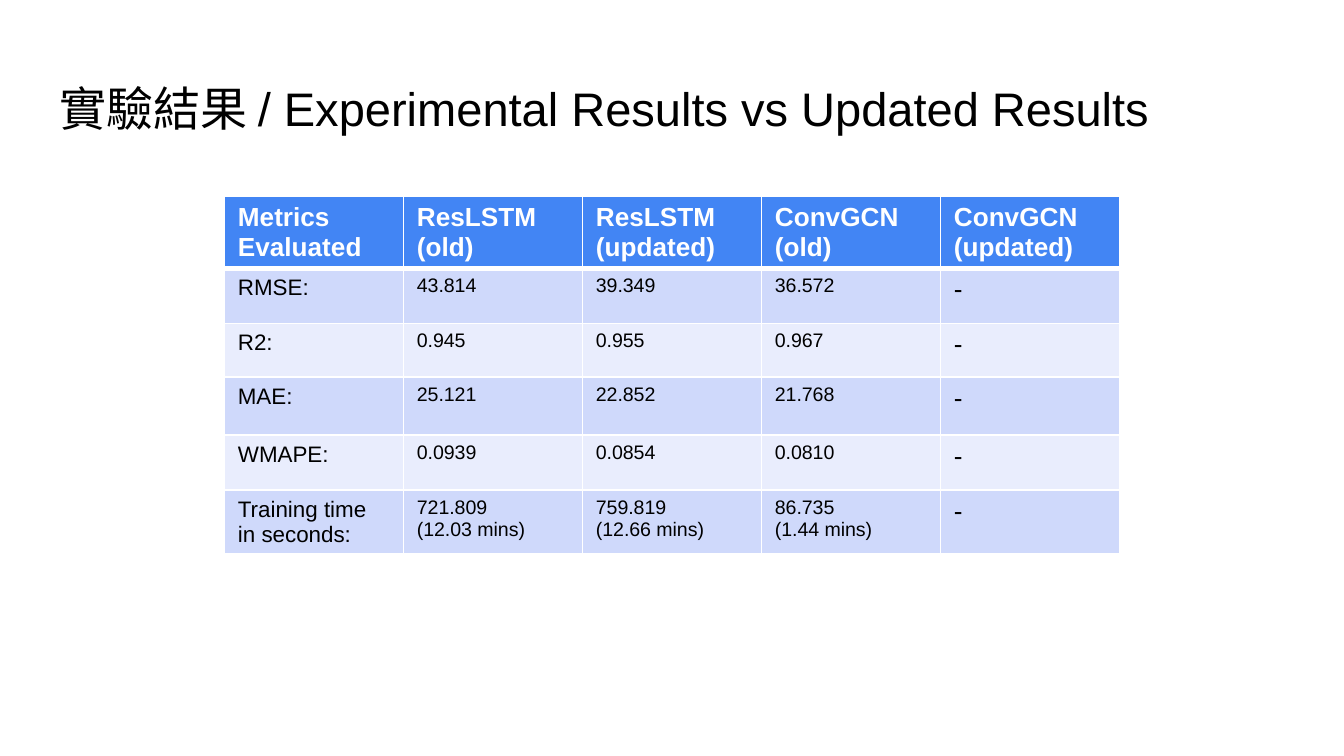
from pptx import Presentation
from pptx.dml.color import RGBColor
from pptx.enum.text import MSO_ANCHOR, MSO_AUTO_SIZE, PP_ALIGN
from pptx.oxml import parse_xml
from pptx.oxml.ns import nsdecls
from pptx.util import Inches, Pt

FONT = "Arial"
BLACK = RGBColor(0x00, 0x00, 0x00)
WHITE = RGBColor(0xFF, 0xFF, 0xFF)
HEADER_BLUE = RGBColor(0x42, 0x85, 0xF4)
BAND_DARK = RGBColor(0xCF, 0xD9, 0xFB)
BAND_LIGHT = RGBColor(0xE9, 0xED, 0xFD)

TITLE = "實驗結果 / Experimental Results vs Updated Results"
ROWS = [
    ["Metrics Evaluated", "ResLSTM (old)", "ResLSTM (updated)",
     "ConvGCN\n(old)", "ConvGCN\n(updated)"],
    ["RMSE:", "43.814", "39.349", "36.572", "-"],
    ["R2:", "0.945", "0.955", "0.967", "-"],
    ["MAE:", "25.121", "22.852", "21.768", "-"],
    ["WMAPE:", "0.0939", "0.0854", "0.0810", "-"],
    ["Training time in seconds:", "721.809\n(12.03 mins)",
     "759.819\n(12.66 mins)", "86.735\n(1.44 mins)", "-"],
]
ROW_HEIGHTS = [0.52, 0.41, 0.4, 0.43, 0.41, 0.47]
TABLE_WIDTH = 6.66
COLUMN_SIZES = [12, 10.5, 10.5, 10.5, 14]


def format_text(tf, size, color, bold=False):
    for p in tf.paragraphs:
        p.alignment = PP_ALIGN.LEFT
        for r in p.runs:
            r.font.name = FONT
            r.font.size = Pt(size)
            r.font.bold = bold
            r.font.color.rgb = color


def add_title(s):
    sp = s.shapes.title
    sp.left, sp.top = Inches(0.34), Inches(0.49)
    sp.width, sp.height = Inches(9.32), Inches(0.63)
    tf = sp.text_frame
    tf.text = TITLE
    tf.word_wrap = True
    tf.auto_size = MSO_AUTO_SIZE.NONE
    tf.vertical_anchor = MSO_ANCHOR.MIDDLE
    tf.margin_left = tf.margin_right = Inches(0.1)
    tf.margin_top = tf.margin_bottom = Inches(0.1)
    format_text(tf, 25.2, BLACK)


def set_borders(cell, widths):
    tcPr = cell._tc.get_or_add_tcPr()
    for i, (side, width) in enumerate(widths.items()):
        tcPr.insert(i, parse_xml(
            f'<a:ln{side} {nsdecls("a")} w="{Pt(width)}"><a:solidFill>'
            f'<a:srgbClr val="{WHITE}"/></a:solidFill></a:ln{side}>'))


def fill_cell(cell, text, row, col):
    header = row == 0
    cell.text = text
    if header:
        format_text(cell.text_frame, 14, WHITE, bold=True)
    else:
        format_text(cell.text_frame, COLUMN_SIZES[col], BLACK)
    cell.fill.solid()
    band = BAND_DARK if row % 2 else BAND_LIGHT
    cell.fill.fore_color.rgb = HEADER_BLUE if header else band
    set_borders(cell, {"L": 1, "R": 1, "T": 3 if row == 1 else 1,
                       "B": 3 if header else 1})


def add_results_table(s):
    n_cols = len(ROWS[0])
    table = s.shapes.add_table(
        len(ROWS), n_cols, Inches(1.67), Inches(1.46),
        Inches(TABLE_WIDTH), Inches(sum(ROW_HEIGHTS))).table
    for column in table.columns:
        column.width = Inches(TABLE_WIDTH / n_cols)
    for i, (height, texts) in enumerate(zip(ROW_HEIGHTS, ROWS)):
        table.rows[i].height = Inches(height)
        for j, text in enumerate(texts):
            fill_cell(table.cell(i, j), text, i, j)


def main():
    prs = Presentation()
    prs.slide_width = Inches(10)
    prs.slide_height = prs.slide_width * 9 // 16
    s = prs.slides.add_slide(prs.slide_layouts[5])
    add_title(s)
    add_results_table(s)
    prs.save("out.pptx")


if __name__ == "__main__":
    main()
